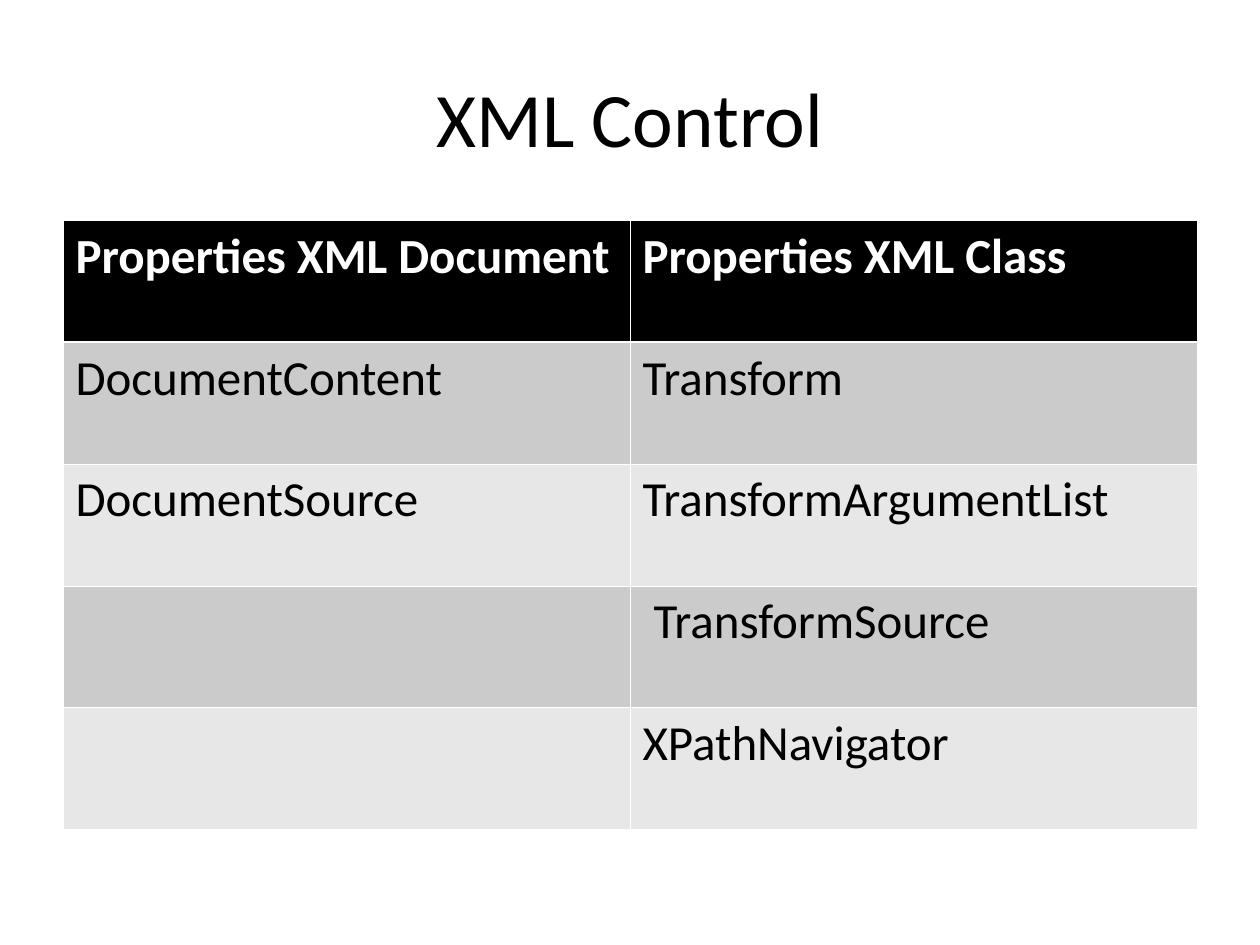
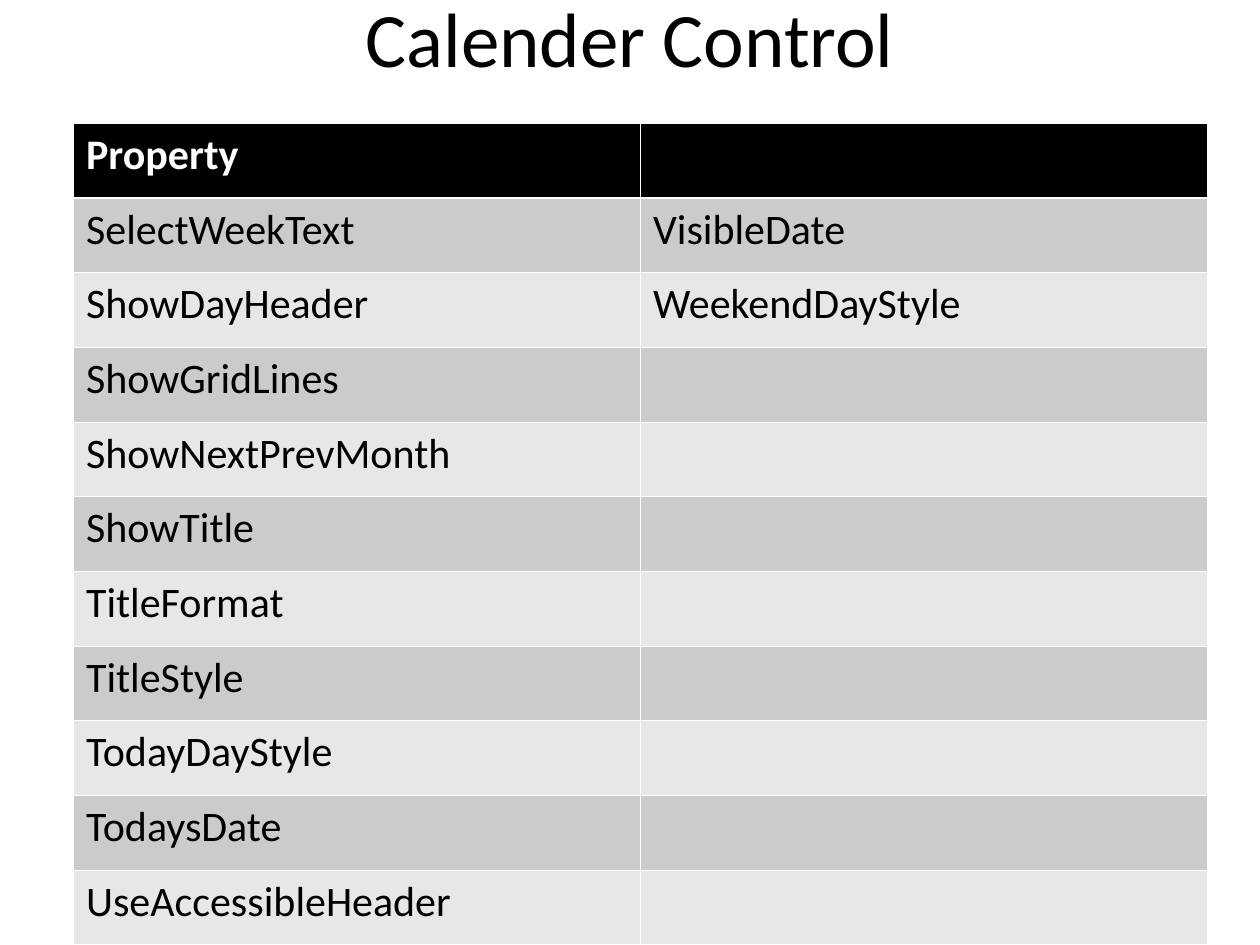
from dataclasses import dataclass

from lxml.etree import SubElement
from pptx import Presentation
from pptx.dml.color import RGBColor
from pptx.enum.text import MSO_ANCHOR, PP_ALIGN
from pptx.oxml.ns import qn
from pptx.util import Emu, Inches, Pt

COLORS = {
    "ink": "000000",
    "paper": "FFFFFF",
    "band_dark": "CBCBCB",
    "band_light": "E7E7E7",
}
FONT = "Calibri"

# Grid: 120 columns by 90 rows of square units
SLIDE_WIDTH, SLIDE_HEIGHT = Inches(10), Inches(7.5)
UNIT = SLIDE_WIDTH // 120
CONTENT_COLS = 108
TITLE_COL, TITLE_ROWS, TITLE_SIZE = 6, 15, 44
THIN, THICK = 0.45, 1.47
CELL_MARGIN = 1.2


@dataclass(frozen=True)
class Entry:
    text: str = ""
    indent: float = 0


@dataclass(frozen=True)
class PropertySlide:
    title: str
    title_row: float
    table_col: float
    table_row: float
    table_rows: float
    text_size: int
    lines: list[tuple[Entry, Entry]]


BLANK = Entry()

SLIDES = [
    PropertySlide(
        "XML Control", 3.6, 6, 21, 58, 28,
        [
            (Entry("Properties XML Document"), Entry("Properties XML Class")),
            (Entry("DocumentContent"), Entry("Transform")),
            (Entry("DocumentSource"), Entry("TransformArgumentList")),
            (BLANK, Entry("TransformSource", indent=1.05)),
            (BLANK, Entry("XPathNavigator")),
        ],
    ),
    PropertySlide(
        "Calender Control", -4, 7, 11.75, 78.25, 24,
        [
            (Entry("Property"), BLANK),
            (Entry("SelectWeekText"), Entry("VisibleDate")),
            (Entry("ShowDayHeader"), Entry("WeekendDayStyle")),
            *((Entry(name), BLANK) for name in (
                "ShowGridLines", "ShowNextPrevMonth", "ShowTitle",
                "TitleFormat", "TitleStyle", "TodayDayStyle", "TodaysDate",
                "UseAccessibleHeader",
            )),
        ],
    ),
]


def grid(units: float) -> Emu:
    return Emu(round(units * UNIT))


def write(frame, text: str, *, size: float, color: str = "ink",
          bold: bool = False, align=PP_ALIGN.LEFT) -> None:
    paragraph = frame.paragraphs[0]
    paragraph.alignment = align
    run = paragraph.add_run()
    run.text = text
    run.font.name = FONT
    run.font.size = Pt(size)
    run.font.bold = bold
    run.font.color.rgb = RGBColor.from_string(COLORS[color])


def add_title(slide, content: PropertySlide) -> None:
    heading = slide.shapes.add_textbox(
        grid(TITLE_COL), grid(content.title_row),
        grid(CONTENT_COLS), grid(TITLE_ROWS))
    heading.text_frame.word_wrap = True
    heading.text_frame.vertical_anchor = MSO_ANCHOR.MIDDLE
    write(heading.text_frame, content.title, size=TITLE_SIZE,
          align=PP_ALIGN.CENTER)


def set_borders(cell, top: float, bottom: float) -> None:
    properties = cell._tc.get_or_add_tcPr()
    widths = {"a:lnL": THIN, "a:lnR": THIN, "a:lnT": top, "a:lnB": bottom}
    # Border lines come before the fill in the cell properties
    for position, (tag, width) in enumerate(widths.items()):
        line = SubElement(properties, qn(tag), w=str(Pt(width)))
        fill = SubElement(line, qn("a:solidFill"))
        SubElement(fill, qn("a:srgbClr"), val=COLORS["paper"])
        properties.insert(position, line)


def band_color(row: int) -> str:
    if row == 0:
        return "ink"
    return "band_dark" if row % 2 else "band_light"


def add_property_table(slide, content: PropertySlide) -> None:
    table = slide.shapes.add_table(
        len(content.lines), len(content.lines[0]),
        grid(content.table_col), grid(content.table_row),
        grid(CONTENT_COLS), grid(content.table_rows)).table
    table.first_row = table.horz_banding = False

    for row, line in enumerate(content.lines):
        is_header = row == 0
        for column, entry in enumerate(line):
            cell = table.cell(row, column)
            cell.margin_left = grid(CELL_MARGIN + entry.indent)
            cell.fill.solid()
            cell.fill.fore_color.rgb = RGBColor.from_string(
                COLORS[band_color(row)])
            set_borders(cell, top=THICK if row == 1 else THIN,
                        bottom=THICK if is_header else THIN)
            if entry.text:
                write(cell.text_frame, entry.text, size=content.text_size,
                      color="paper" if is_header else "ink", bold=is_header)


def main() -> None:
    presentation = Presentation()
    presentation.slide_width = SLIDE_WIDTH
    presentation.slide_height = SLIDE_HEIGHT
    blank_layout = presentation.slide_layouts[6]
    for content in SLIDES:
        slide = presentation.slides.add_slide(blank_layout)
        add_title(slide, content)
        add_property_table(slide, content)
    presentation.save("out.pptx")


if __name__ == "__main__":
    main()
